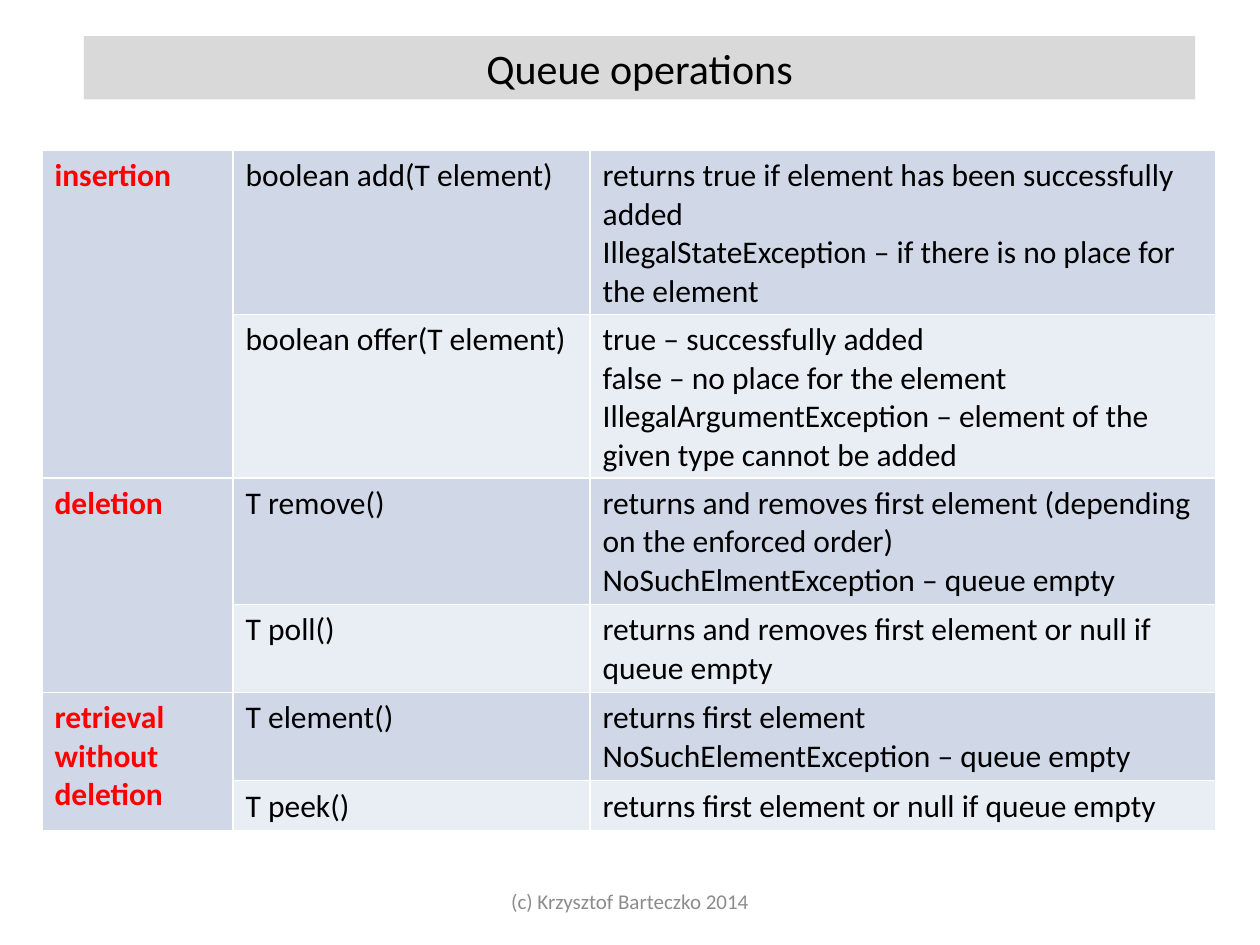
"""Build the slide that lists Java queue operations in a table."""
import pptx
import pptx.dml.color
import pptx.enum.shapes
import pptx.enum.text
import pptx.oxml
import pptx.oxml.ns
import pptx.util

Pt = pptx.util.Pt
ALIGN = pptx.enum.text.PP_ALIGN
ANCHOR = pptx.enum.text.MSO_ANCHOR

TITLE = "Queue operations"
FOOTER = "(c) Krzysztof Barteczko 2014"
GROUPS = [
    ("insertion", [
        ("boolean add(T element)", 4, [
            "returns true if element has been successfully added",
            "IllegalStateException – if there is no place for the element"]),
        ("boolean offer(T element)", 4, [
            "true – successfully added",
            "false – no place for the element",
            "IllegalArgumentException – element of the given type cannot be added"]),
    ]),
    ("deletion", [
        ("T remove()", 3, [
            "returns and removes first element (depending on the enforced order)",
            "NoSuchElmentException – queue empty"]),
        ("T poll()", 2, ["returns and removes first element or null if queue empty"]),
    ]),
    ("retrieval without deletion", [
        ("T element()", 2, [
            "returns first element",
            "NoSuchElementException – queue empty"]),
        ("T peek()", 1, ["returns first element or null if queue empty"]),
    ]),
]
COLORS = {"text": "000000", "group": "FF0000", "footer": "8C8C8C", "title": "D9D9D9",
          "band1": "D0D8E8", "band2": "E9EDF4", "border": "FFFFFF"}
COL_WIDTHS = [109.2, 204, 357.4]
LINE_HEIGHT, CELL_PADDING = 21.6, 7


def rgb(name):
    return pptx.dml.color.RGBColor.from_string(COLORS[name])


def write(tf, lines, size=18, color="text", bold=False, align=ALIGN.LEFT, anchor=ANCHOR.TOP):
    tf.word_wrap = True
    tf.vertical_anchor = anchor
    for i, line in enumerate(lines):
        p = tf.paragraphs[0] if i == 0 else tf.add_paragraph()
        p.alignment = align
        r = p.add_run()
        r.text = line
        r.font.name = "Calibri"
        r.font.size = Pt(size)
        r.font.bold = bold
        r.font.color.rgb = rgb(color)


def style_cell(cell, fill):
    tcPr = cell._tc.get_or_add_tcPr()
    for side in ("lnL", "lnR", "lnT", "lnB"):
        tcPr.append(pptx.oxml.parse_xml(
            f'<a:{side} {pptx.oxml.ns.nsdecls("a")} w="{Pt(1)}"><a:solidFill>'
            f'<a:srgbClr val="{COLORS["border"]}"/></a:solidFill></a:{side}>'))
    cell.fill.solid()
    cell.fill.fore_color.rgb = rgb(fill)


def add_operations(s):
    rows = [op for _, ops in GROUPS for op in ops]
    heights = [LINE_HEIGHT * count + CELL_PADDING for _, count, _ in rows]
    table = s.shapes.add_table(len(rows), len(COL_WIDTHS), Pt(24), Pt(86),
                               Pt(sum(COL_WIDTHS)), Pt(sum(heights))).table
    table.first_row = False
    for col, width in zip(table.columns, COL_WIDTHS):
        col.width = Pt(width)
    for i, (method, _, effects) in enumerate(rows):
        table.rows[i].height = Pt(heights[i])
        band = "band2" if i % 2 else "band1"
        for j, fill in enumerate(("band1", band, band)):
            style_cell(table.cell(i, j), fill)
        write(table.cell(i, 1).text_frame, [method])
        write(table.cell(i, 2).text_frame, effects)
    top = 0
    for group, ops in GROUPS:
        cell = table.cell(top, 0)
        cell.merge(table.cell(top + len(ops) - 1, 0))
        write(cell.text_frame, [group], color="group", bold=True)
        top += len(ops)


def main():
    prs = pptx.Presentation()
    prs.slide_width, prs.slide_height = Pt(720), Pt(540)
    s = prs.slides.add_slide(prs.slide_layouts[6])

    footer = s.shapes.add_textbox(Pt(246), Pt(500.5), Pt(228), Pt(28.8))
    write(footer.text_frame, [FOOTER], size=12, color="footer",
          align=ALIGN.CENTER, anchor=ANCHOR.MIDDLE)

    title = s.shapes.add_shape(pptx.enum.shapes.MSO_SHAPE.RECTANGLE,
                               Pt(48), Pt(20.6), Pt(635), Pt(36.2))
    title.shadow.inherit = False
    title.fill.solid()
    title.fill.fore_color.rgb = rgb("title")
    title.line.fill.background()
    write(title.text_frame, [TITLE], size=24, align=ALIGN.CENTER)

    add_operations(s)
    prs.save("out.pptx")


if __name__ == "__main__":
    main()
